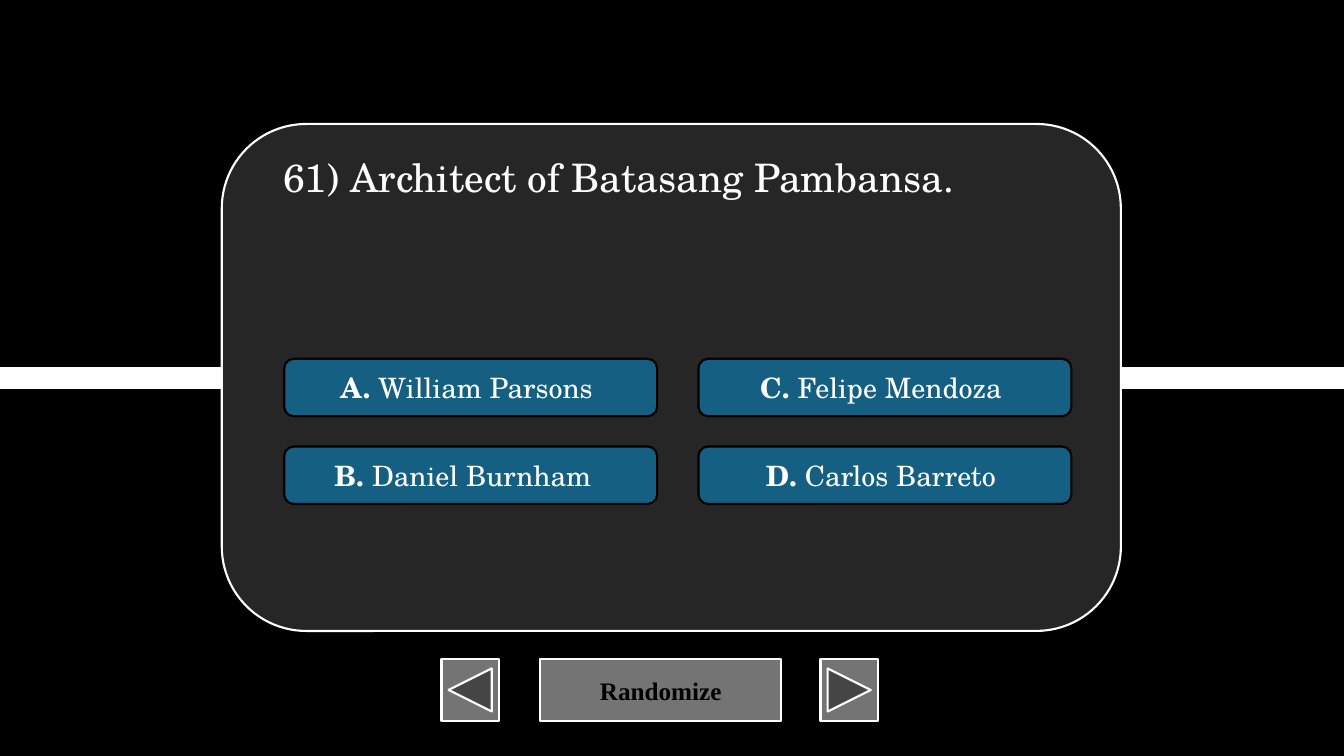
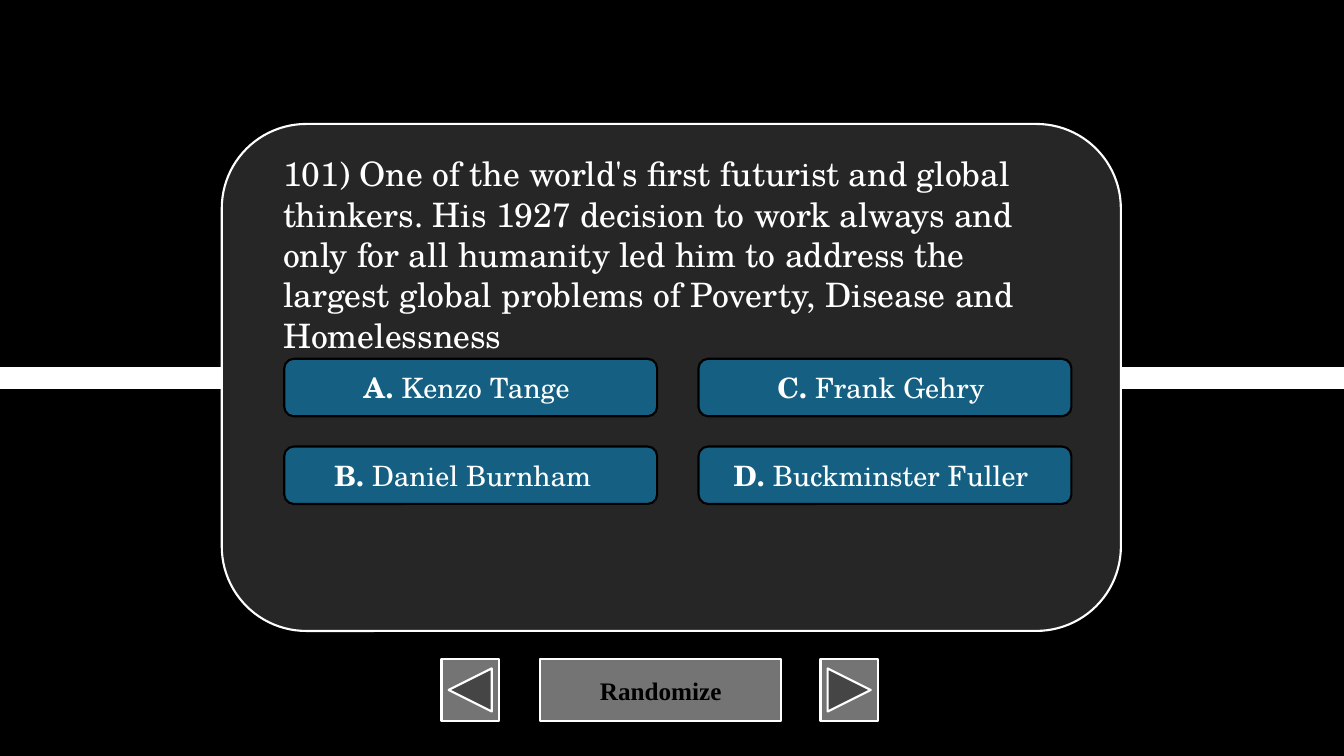
from dataclasses import dataclass
from itertools import product
from typing import NamedTuple

from lxml.etree import SubElement
from pptx import Presentation
from pptx.dml.color import RGBColor
from pptx.enum.shapes import MSO_CONNECTOR, MSO_SHAPE
from pptx.enum.text import MSO_ANCHOR, MSO_AUTO_SIZE, PP_ALIGN
from pptx.oxml.ns import qn
from pptx.shapes.autoshape import Shape
from pptx.slide import Slide
from pptx.text.text import TextFrame
from pptx.util import Pt


@dataclass(frozen=True)
class Theme:
    black: str = "000000"
    white: str = "FFFFFF"
    card: str = "262626"
    choice: str = "156082"
    button: str = "747474"
    serif: str = "TeX Gyre Schola"
    label: str = "Times New Roman"
    choice_size: float = 20
    label_size: float = 18
    edge: float = 1.5
    band: float = 16


class Box(NamedTuple):
    left: float
    top: float
    width: float
    height: float


class Choice(NamedTuple):
    mark: str
    name: str
    inset: float = 12.8


class Quiz(NamedTuple):
    title: str
    size: float
    height: float
    choices: tuple[Choice, ...]


THEME = Theme()
WIDTH, HEIGHT = 960, 540
CARD = Box(158.4, 88.56, 642.24, 362.16)
TITLE = Box(195.12, 105.84, 570.24, 41)
FIRST = Box(203.04, 256.32, 266.4, 41.04)
STEP_X, STEP_Y = 295.92, 62.64
BUTTONS = (
    (MSO_SHAPE.ACTION_BUTTON_CUSTOM, Box(385.92, 470.88, 172.08, 43.92), "Randomize"),
    (MSO_SHAPE.ACTION_BUTTON_BACK_OR_PREVIOUS, Box(315.36, 470.88, 41.04, 43.92), ""),
    (MSO_SHAPE.ACTION_BUTTON_FORWARD_OR_NEXT, Box(586.08, 470.88, 41.04, 43.92), ""),
)
BURNHAM = Choice("B.", "Daniel Burnham", 18.3)
QUIZZES = (
    Quiz(
        "61) Architect of Batasang Pambansa.", 28, 41.04,
        (
            Choice("A.", "William Parsons"),
            BURNHAM,
            Choice("C.", "Felipe Mendoza"),
            Choice("D.", "Carlos Barreto"),
        ),
    ),
    Quiz(
        "101) One of the world's first futurist and global thinkers. "
        "His 1927 decision to work always and only for all humanity led him "
        "to address the largest global problems of Poverty, Disease and "
        "Homelessness", 24, 152.64,
        (
            Choice("A.", "Kenzo Tange"),
            BURNHAM,
            Choice("C.", "Frank Gehry"),
            Choice("D.", "Buckminster Fuller"),
        ),
    ),
)


def color(code: str) -> RGBColor:
    return RGBColor.from_string(code)


def write(frame: TextFrame, text: str, *, size: float, font: str = THEME.serif,
          ink: str = THEME.white, bold: bool = False,
          align: PP_ALIGN = PP_ALIGN.LEFT) -> None:
    frame.word_wrap = True
    line = frame.paragraphs[0]
    line.alignment = align
    run = line.add_run()
    run.text = text
    run.font.size = Pt(size)
    run.font.name = font
    run.font.bold = bold
    run.font.color.rgb = color(ink)


def draw(slide: Slide, kind: MSO_SHAPE, box: Box, fill: str, edge: str) -> Shape:
    shape = slide.shapes.add_shape(kind, *map(Pt, box))
    shape.shadow.inherit = False
    shape.fill.solid()
    shape.fill.fore_color.rgb = color(fill)
    shape.line.color.rgb = color(edge)
    shape.line.width = Pt(THEME.edge)
    shape.text_frame.vertical_anchor = MSO_ANCHOR.MIDDLE
    return shape


def draw_frame(slide: Slide) -> None:
    middle = Pt(HEIGHT / 2)
    band = slide.shapes.add_connector(
        MSO_CONNECTOR.STRAIGHT, 0, middle, Pt(WIDTH), middle)
    band.line.color.rgb = color(THEME.white)
    band.line.width = Pt(THEME.band)
    SubElement(band._element.spPr, qn("a:effectLst"))
    for kind, box, label in BUTTONS:
        button = draw(slide, kind, box, THEME.button, THEME.white)
        if label:
            write(button.text_frame, label, size=THEME.label_size,
                  font=THEME.label, ink=THEME.black, bold=True,
                  align=PP_ALIGN.CENTER)
    draw(slide, MSO_SHAPE.ROUNDED_RECTANGLE, CARD, THEME.card, THEME.white)


def draw_choice(slide: Slide, choice: Choice, box: Box) -> None:
    shape = draw(slide, MSO_SHAPE.ROUNDED_RECTANGLE, box, THEME.choice, THEME.black)
    frame = shape.text_frame
    frame.margin_right = Pt(choice.inset)
    for text, bold in ((f"{choice.mark} ", True), (choice.name, False)):
        write(frame, text, size=THEME.choice_size, bold=bold,
              align=PP_ALIGN.CENTER)


def draw_quiz(slide: Slide, quiz: Quiz) -> None:
    draw_frame(slide)
    for choice, (col, row) in zip(quiz.choices, product(range(2), repeat=2)):
        box = FIRST._replace(left=FIRST.left + col * STEP_X,
                             top=FIRST.top + row * STEP_Y)
        draw_choice(slide, choice, box)
    title = slide.shapes.add_textbox(*map(Pt, TITLE._replace(height=quiz.height)))
    title.text_frame.auto_size = MSO_AUTO_SIZE.SHAPE_TO_FIT_TEXT
    write(title.text_frame, quiz.title, size=quiz.size)


def main() -> None:
    deck = Presentation()
    deck.slide_width, deck.slide_height = Pt(WIDTH), Pt(HEIGHT)
    back = deck.slide_master.background.fill
    back.solid()
    back.fore_color.rgb = color(THEME.black)
    for quiz in QUIZZES:
        draw_quiz(deck.slides.add_slide(deck.slide_layouts[6]), quiz)
    deck.save("out.pptx")


if __name__ == "__main__":
    main()
